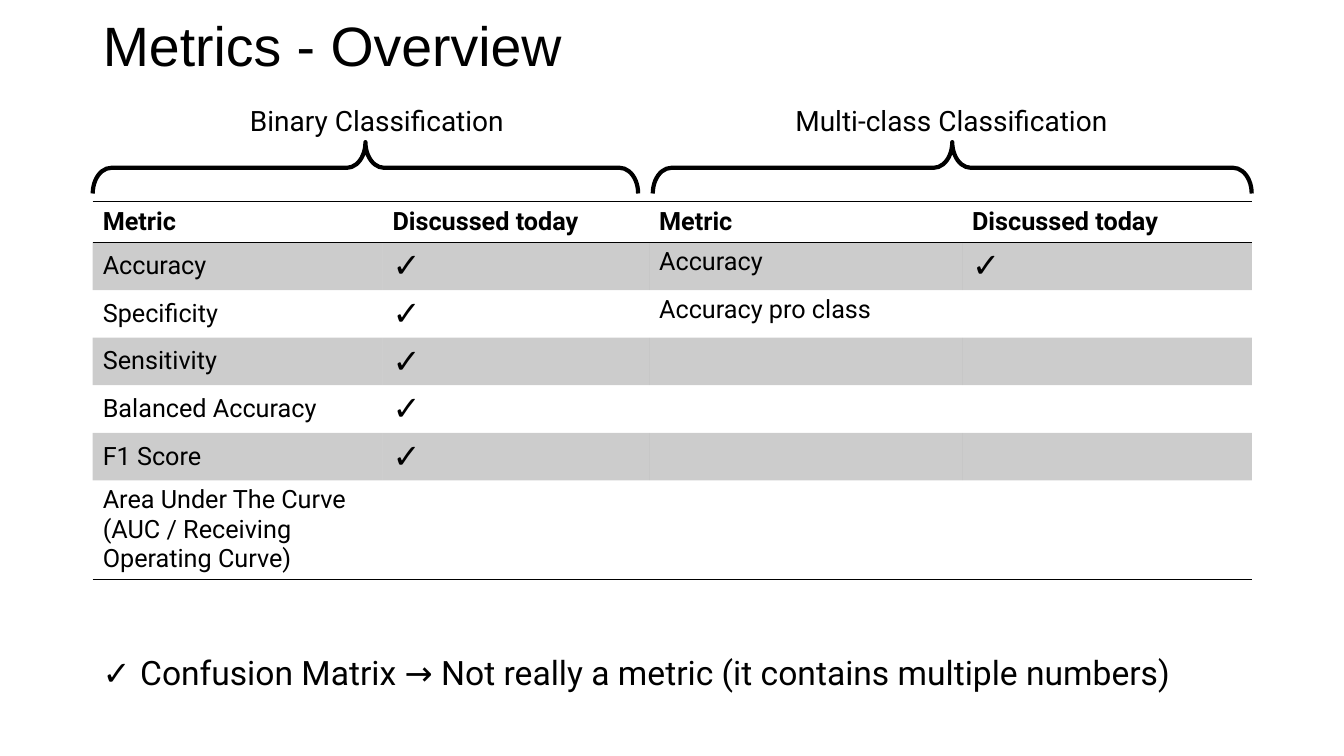
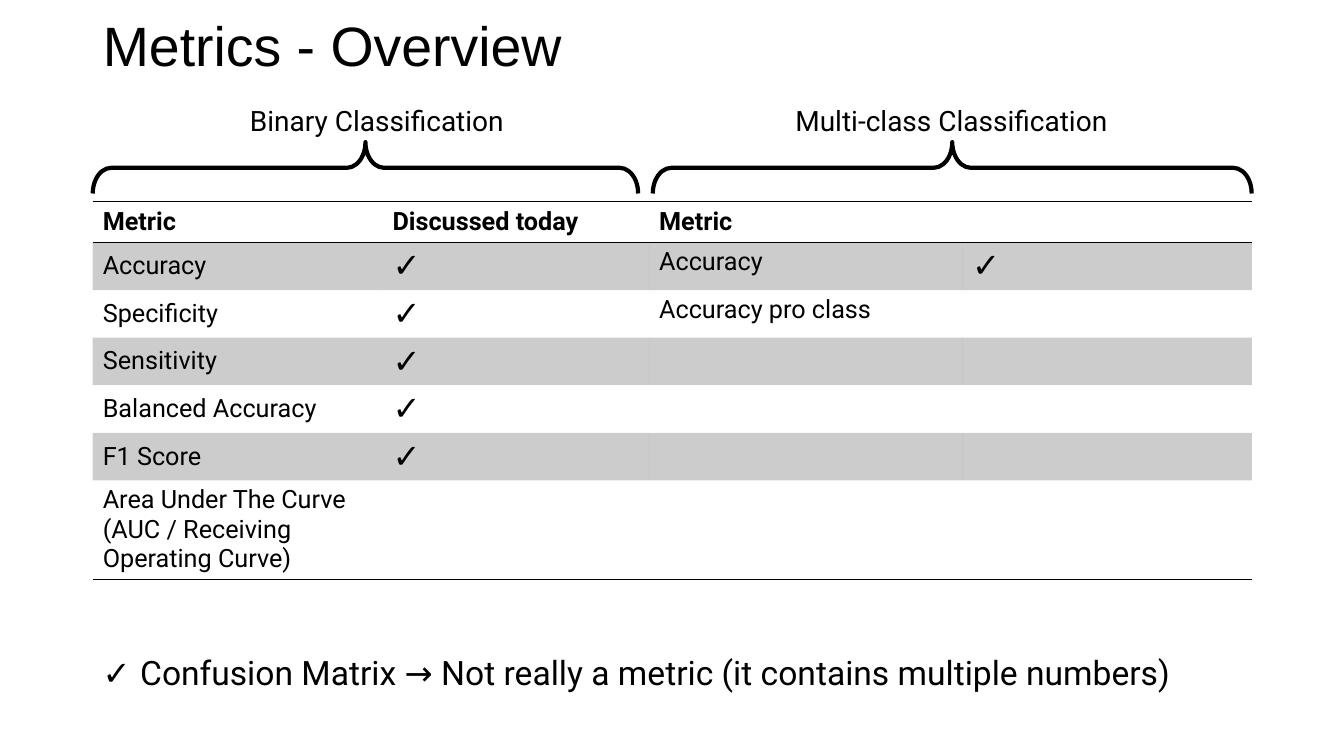
"""Build two overview slides of classification metrics."""
from typing import Any, NamedTuple

from lxml import etree
from pptx import Presentation
from pptx import util as u
from pptx.dml.color import RGBColor
from pptx.enum import shapes, text
from pptx.oxml import ns

BLACK = RGBColor(0x00, 0x00, 0x00)
WIDE, TALL = u.Inches(13.33), u.Inches(7.5)
LEFT, SPAN = 6.9, 86.25
TICK = "✓"
PLAIN = "{2D5ABB26-0587-4C30-8999-92F81FD0307C}"

TITLE = {"name": "Arial", "size": u.Pt(39.6), "bold": False}
HEAD = {"name": "Roboto", "size": u.Pt(18), "bold": True}
BODY = {**HEAD, "bold": False}
MARK = {**BODY, "name": "Arial", "size": u.Pt(24)}
NOTE = {**MARK, "name": "Roboto"}
LABEL = {**NOTE, "size": u.Pt(20)}

COLS = (25, 23, 27, 25)
ROWS = (5.4, *[6.28] * 5, 13)
HEADS = ("Metric", "Discussed today") * 2
CELLS = (
    ("Accuracy", TICK, "Accuracy", TICK),
    ("Specificity", TICK, "Accuracy pro class", ""),
    ("Sensitivity", TICK, "", ""),
    ("Balanced Accuracy", TICK, "", ""),
    ("F1 Score", TICK, "", ""),
    ("Area Under The Curve (AUC / Receiving Operating Curve)", "", "", ""),
)


class Box(NamedTuple):
    """Hold a place in percent of the slide's width and height."""
    x: float
    y: float
    w: float
    h: float

    def place(self) -> tuple[int, int, int, int]:
        """Return left, top, width and height as lengths."""
        return (int(WIDE * self.x / 100), int(TALL * self.y / 100),
                int(WIDE * self.w / 100), int(TALL * self.h / 100))


class Group(NamedTuple):
    """Hold a class of metrics: its label and its brace."""
    name: str
    label: Box
    brace: Box


GROUPS = (
    Group("Binary Classification", Box(17.85, 13.07, 26.18, 5.87),
          Box(LEFT, 18.8, 40.58, 6.8)),
    Group("Multi-class Classification", Box(58.44, 13.07, 26.18, 5.87),
          Box(48.57, 18.8, 44.56, 6.8)),
)


def style(item: Any, form: dict[str, Any]) -> None:
    """Set each format value on an item."""
    for key, value in form.items():
        setattr(item, key, value)


def write(para: Any, words: str, form: dict[str, Any]) -> None:
    """Add a black run to a paragraph."""
    run = para.add_run()
    run.text = words
    style(run.font, form)
    run.font.color.rgb = BLACK


def add_title(slide: Any) -> None:
    """Fill and move the title placeholder."""
    title = slide.shapes.title
    spots = Box(LEFT, 1.73, SPAN, 9.33).place()
    style(title, dict(zip(("left", "top", "width", "height"), spots)))
    style(title.text_frame, {
        "auto_size": text.MSO_AUTO_SIZE.NONE, "word_wrap": True,
        "vertical_anchor": text.MSO_ANCHOR.MIDDLE})
    para = title.text_frame.paragraphs[0]
    style(para, {"alignment": text.PP_ALIGN.LEFT, "line_spacing": 0.9})
    write(para, "Metrics - Overview", TITLE)


def add_text(slide: Any, box: Box,
             *parts: tuple[str, dict[str, Any]]) -> None:
    """Add a text box with one paragraph of runs."""
    frame = slide.shapes.add_textbox(*box.place()).text_frame
    frame.word_wrap = True
    for words, form in parts:
        write(frame.paragraphs[0], words, form)


def add_brace(slide: Any, box: Box) -> None:
    """Add a brace that opens downward and fills the box."""
    x, y, w, h = box.place()
    brace = slide.shapes.add_shape(
        shapes.MSO_SHAPE.LEFT_BRACE,
        x + (w - h) // 2, y + (h - w) // 2, h, w)
    brace.rotation = 90
    brace.adjustments[0] = 0.36
    brace.shadow.inherit = False
    brace.fill.background()
    brace.line.color.rgb = BLACK
    brace.line.width = u.Pt(3)


def rule(cell: Any, side: str) -> None:
    """Draw a thin black border on one side of a cell."""
    props = cell._tc.get_or_add_tcPr()
    line = etree.SubElement(props, ns.qn(f"a:ln{side}"), w=str(u.Pt(1)))
    fill = etree.SubElement(line, ns.qn("a:solidFill"))
    etree.SubElement(fill, ns.qn("a:srgbClr"), val=str(BLACK))


def shade(cell: Any) -> None:
    """Fill a cell with black at one fifth strength."""
    cell.fill.solid()
    cell.fill.fore_color.rgb = BLACK
    for tint in cell._tc.tcPr.iter(ns.qn("a:srgbClr")):
        if tint.getparent().getparent() is cell._tc.tcPr:
            etree.SubElement(tint, ns.qn("a:alpha"), val="20000")


def fill_cell(cell: Any, row: int, col: int, words: str) -> None:
    """Write, border and shade one cell."""
    form = HEAD if row == 0 else MARK if words == TICK else BODY
    para = cell.text_frame.paragraphs[0]
    if words:
        write(para, words, form)
    else:
        style(para.font, form)
    if row and col == 0:
        cell.vertical_anchor = text.MSO_ANCHOR.MIDDLE
    sides = "TB" if row == 0 else "B" if row == len(CELLS) else ""
    for side in sides:
        rule(cell, side)
    if row % 2:
        shade(cell)
    else:
        cell.fill.background()


def add_grid(slide: Any, heads: tuple[str, ...]) -> None:
    """Add the table of metrics."""
    box = Box(LEFT, 26.67, SPAN, sum(ROWS))
    grid = slide.shapes.add_table(
        len(ROWS), len(COLS), *box.place()).table
    style(grid, {"first_row": False, "horz_banding": False})
    grid._tbl.tblPr.find(ns.qn("a:tableStyleId")).text = PLAIN
    for col, share in zip(grid.columns, COLS):
        col.width = int(WIDE * SPAN * share / 10000)
    for row, share in zip(grid.rows, ROWS):
        row.height = int(TALL * share / 100)
    for r, line in enumerate((heads, *CELLS)):
        for c, words in enumerate(line):
            fill_cell(grid.cell(r, c), r, c, words)


def add_page(deck: Any, heads: tuple[str, ...]) -> None:
    """Add one overview slide."""
    slide = deck.slides.add_slide(deck.slide_layouts[5])
    add_title(slide)
    add_grid(slide, heads)
    add_text(slide, Box(LEFT, 85.6, 87.7, 6.67), (f"{TICK} ", MARK),
             ("Confusion Matrix → Not really a metric "
              "(it contains multiple numbers)", NOTE))
    for group in GROUPS:
        add_text(slide, group.label, (group.name, LABEL))
        add_brace(slide, group.brace)


def main() -> None:
    """Build and save the deck."""
    deck = Presentation()
    style(deck, {"slide_width": WIDE, "slide_height": TALL})
    for heads in (HEADS, (*HEADS[:3], "")):
        add_page(deck, heads)
    deck.save("out.pptx")


if __name__ == "__main__":
    main()
